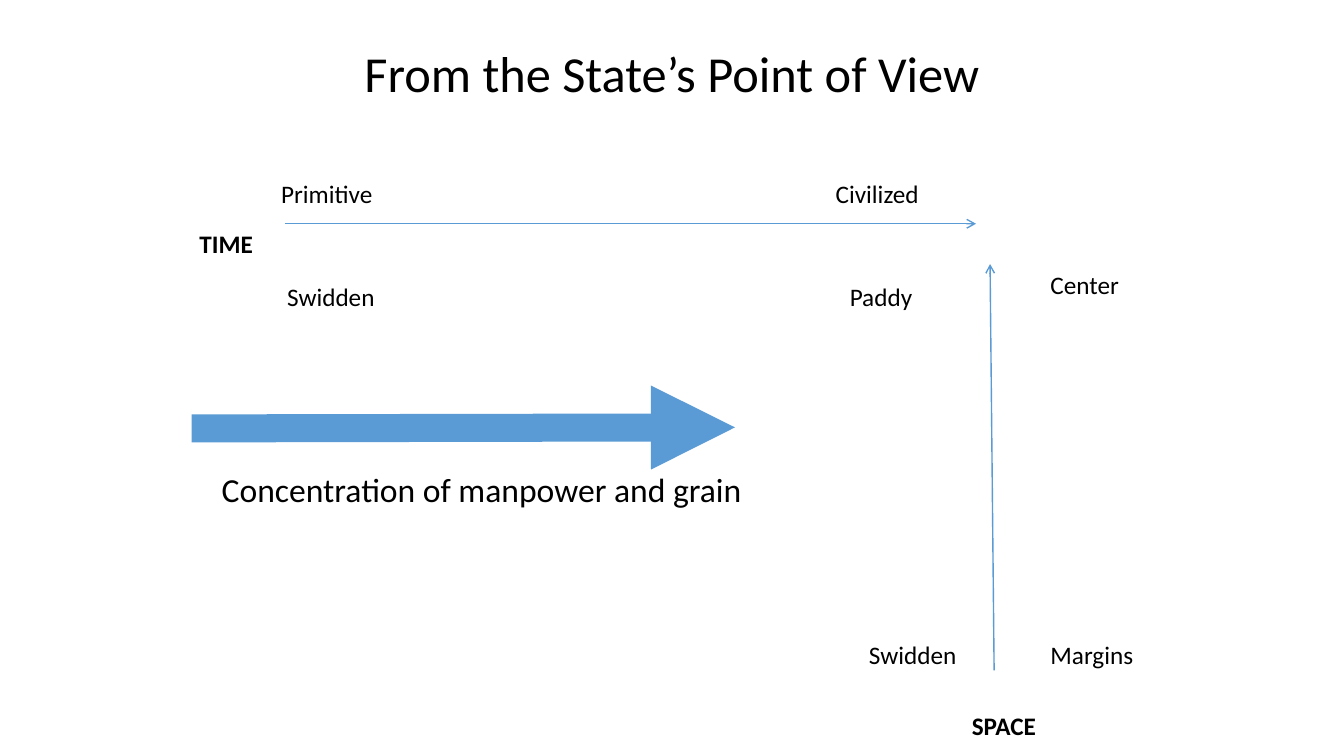
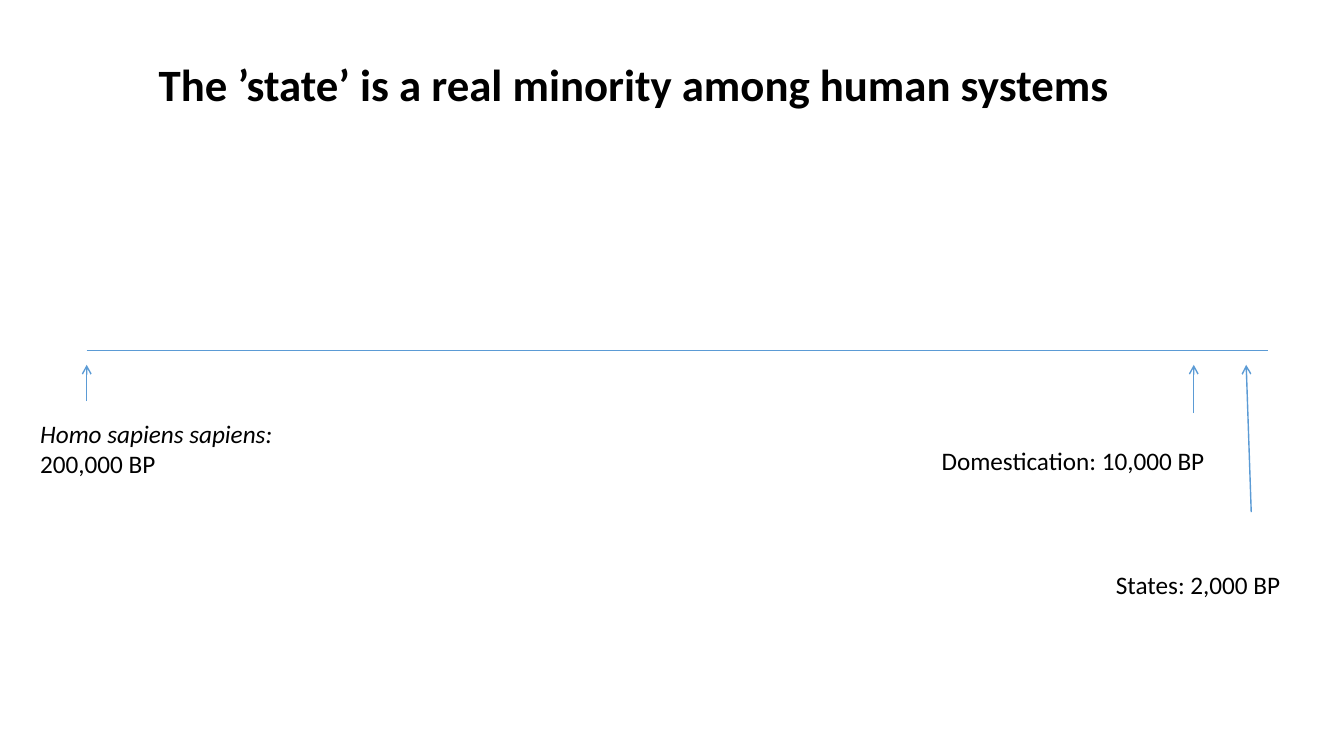
import lxml.etree
import pptx
import pptx.dml.color
import pptx.enum.shapes
import pptx.enum.text
import pptx.oxml.ns
import pptx.util
from pptx.util import Inches

# Shared style
BLACK = pptx.dml.color.RGBColor(0x00, 0x00, 0x00)
BLUE = pptx.dml.color.RGBColor(0x5B, 0x9B, 0xD5)
FONT = "Calibri"
LABEL_SIZE = 18
LABEL_HEIGHT = 0.4
TITLE_ONLY = 5


def format_runs(para, size, bold=False):
    for span in para.runs:
        span.font.name = FONT
        span.font.size = pptx.util.Pt(size)
        span.font.bold = bold
        span.font.color.rgb = BLACK


def add_titled_page(deck, text, left, top, width, height, size, bold=False):
    page = deck.slides.add_slide(deck.slide_layouts[TITLE_ONLY])
    title = page.shapes.title
    title.left, title.top = Inches(left), Inches(top)
    title.width, title.height = Inches(width), Inches(height)
    frame = title.text_frame
    frame.text = text
    frame.word_wrap = True
    frame.auto_size = pptx.enum.text.MSO_AUTO_SIZE.NONE
    frame.vertical_anchor = pptx.enum.text.MSO_ANCHOR.TOP
    para = frame.paragraphs[0]
    para.alignment = pptx.enum.text.PP_ALIGN.CENTER
    format_runs(para, size, bold)
    return page


def add_label(page, text, left, top, width, height=LABEL_HEIGHT,
              size=LABEL_SIZE, bold=False):
    box = page.shapes.add_textbox(Inches(left), Inches(top),
                                  Inches(width), Inches(height))
    box.text_frame.word_wrap = True
    para = box.text_frame.paragraphs[0]
    para.text = text
    format_runs(para, size, bold)
    return para


def add_line(page, start, end, width=1, head=None):
    """Draw a straight line, with an arrowhead at its end if one is named."""
    line = page.shapes.add_connector(
        pptx.enum.shapes.MSO_CONNECTOR.STRAIGHT,
        *(Inches(value) for value in (*start, *end)))
    line.line.color.rgb = BLUE
    line.line.width = pptx.util.Pt(width)
    qn = pptx.oxml.ns.qn
    properties = line.element.find(qn("p:spPr"))
    if head:
        outline = properties.find(qn("a:ln"))
        lxml.etree.SubElement(outline, qn("a:tailEnd"), type=head)
    lxml.etree.SubElement(properties, qn("a:effectLst"))


def build_state_view(deck):
    page = add_titled_page(deck, "From the State’s Point of View",
                           3.21, 0.37, 6.91, 0.71, 36)

    # Time and space axes
    add_line(page, (2.83, 2.22), (9.68, 2.22), head="arrow")
    add_line(page, (9.86, 6.65), (9.82, 2.62), head="arrow")
    add_label(page, "TIME", 1.88, 2.22, 0.81, bold=True)
    add_label(page, "SPACE", 9.54, 7, 0.91, bold=True)

    # Axis labels
    for text, left, top, width in (
            ("Primitive", 2.69, 1.72, 1.18),
            ("Civilized", 8.19, 1.72, 1.86),
            ("Swidden", 2.75, 2.74, 1.18),
            ("Paddy", 8.33, 2.74, 1.49),
            ("Center", 10.32, 2.62, 1.1),
            ("Swidden", 8.52, 6.29, 1.18),
            ("Margins", 10.32, 6.29, 1.1)):
        add_label(page, text, left, top, width)

    # Concentration arrow
    add_line(page, (1.9, 4.25), (7.29, 4.24), width=20, head="triangle")
    add_label(page, "Concentration of manpower and grain",
              2.1, 4.6, 6.09, 0.5, size=24)


def build_timeline(deck):
    page = add_titled_page(
        deck, "The ’state’ is a real minority among human systems",
        0.86, 0.51, 10.86, 0.64, 32, bold=True)

    # Timeline and the arrows that point up to it
    add_line(page, (0.86, 3.48), (12.58, 3.48))
    arrow_top = 3.62
    for start_x, start_y, end_x in ((0.86, 3.98, 0.86),
                                    (11.84, 4.1, 11.84),
                                    (12.41, 5.08, 12.36)):
        add_line(page, (start_x, start_y), (end_x, arrow_top), head="arrow")

    # Event labels
    species = add_label(page, "Homo sapiens sapiens: ", 0.3, 4.1, 2.78, 0.71)
    species.runs[0].font.italic = True
    species.add_run().text = "200,000 BP"
    format_runs(species, LABEL_SIZE)
    add_label(page, "Domestication: 10,000 BP", 9.24, 4.37, 2.93)
    add_label(page, "States: 2,000 BP", 10.97, 5.6, 1.86)


def main():
    deck = pptx.Presentation()
    deck.slide_width, deck.slide_height = Inches(13.33), Inches(7.5)
    build_state_view(deck)
    build_timeline(deck)
    deck.save("out.pptx")


if __name__ == "__main__":
    main()
